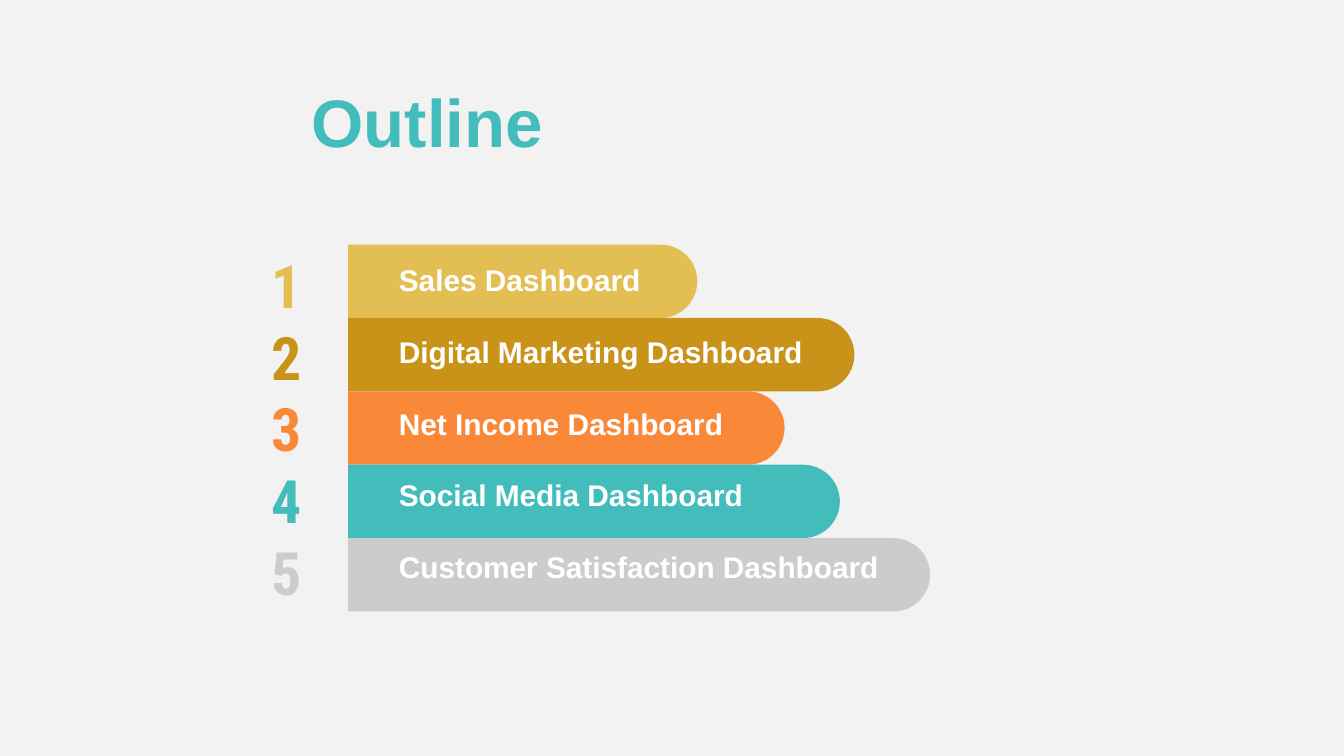
from pptx import Presentation
from pptx.dml.color import RGBColor
from pptx.enum.shapes import MSO_SHAPE
from pptx.enum.text import MSO_ANCHOR, PP_ALIGN
from pptx.util import Inches, Pt

ROUNDED_END = MSO_SHAPE.ROUND_2_SAME_RECTANGLE
CENTER, LEFT = PP_ALIGN.CENTER, PP_ALIGN.LEFT
TOP, MIDDLE = MSO_ANCHOR.TOP, MSO_ANCHOR.MIDDLE

BACKGROUND = RGBColor(0xF2, 0xF2, 0xF2)
WHITE = RGBColor(0xFF, 0xFF, 0xFF)
YELLOW = RGBColor(0xE2, 0xBE, 0x53)
GOLD = RGBColor(0xC9, 0x93, 0x19)
ORANGE = RGBColor(0xFA, 0x88, 0x39)
TEAL = RGBColor(0x42, 0xBD, 0xBB)
GRAY = RGBColor(0xCC, 0xCC, 0xCC)

WIDTH = 10
HEIGHT = WIDTH * 9 / 16
TITLE_BOX = (0, 0.55, 6.36, 0.71)
BARS_BOX = (2.59, 1.82, 4.33, 2.73)
LABELS_BOX = (2.87, 1.9, 5.54, 2.52)
NUMBERS_BOX = (1.71, 1.69, 0.84, 2.99)

SECTIONS = [
    ("Sales Dashboard", YELLOW, 0.6),
    ("Digital Marketing Dashboard", GOLD, 0.87),
    ("Net Income Dashboard", ORANGE, 0.75),
    ("Social Media Dashboard", TEAL, 0.845),
    ("Customer Satisfaction Dashboard", GRAY, 1),
]


def add_text(slide, box, lines, font_name, size, alignment, anchor=TOP, inset=0.05, gap=0):
    shape = slide.shapes.add_textbox(*map(Inches, box))
    frame = shape.text_frame
    frame.word_wrap = True
    frame.vertical_anchor = anchor
    frame.margin_top = frame.margin_bottom = Inches(inset)
    for index, (text, color) in enumerate(lines):
        paragraph = frame.add_paragraph() if index else frame.paragraphs[0]
        paragraph.text = text
        paragraph.alignment = alignment
        paragraph.space_after = Pt(gap)
        paragraph.font.name = font_name
        paragraph.font.size = Pt(size)
        paragraph.font.bold = True
        paragraph.font.color.rgb = color


def add_title(slide, box):
    add_text(slide, box, [("Outline", TEAL)], "Arial", 36, CENTER)


def add_bars(slide, box):
    left, top, width, height = box
    row = height / len(SECTIONS)
    for index, (_, color, share) in enumerate(SECTIONS):
        length = width * share
        center_x = left + length / 2
        center_y = top + row * (index + 0.5)
        bar = slide.shapes.add_shape(
            ROUNDED_END,
            Inches(center_x - row / 2), Inches(center_y - length / 2),
            Inches(row), Inches(length),
        )
        bar.rotation = 90
        bar.adjustments[0] = 0.5
        bar.adjustments[1] = 0
        bar.shadow.inherit = False
        bar.fill.solid()
        bar.fill.fore_color.rgb = color
        bar.line.fill.background()


def add_labels(slide, box):
    lines = [(label, WHITE) for label, _, _ in SECTIONS]
    add_text(slide, box, lines, "Arial", 16, LEFT, gap=19.2)


def add_numbers(slide, box):
    lines = [(str(number), color) for number, (_, color, _) in enumerate(SECTIONS, 1)]
    add_text(slide, box, lines, "Roboto Condensed", 32, CENTER, MIDDLE, 0.1)


def main():
    presentation = Presentation()
    presentation.slide_width = Inches(WIDTH)
    presentation.slide_height = Inches(HEIGHT)
    slide = presentation.slides.add_slide(presentation.slide_layouts[6])
    slide.background.fill.solid()
    slide.background.fill.fore_color.rgb = BACKGROUND
    add_bars(slide, BARS_BOX)
    add_title(slide, TITLE_BOX)
    add_labels(slide, LABELS_BOX)
    add_numbers(slide, NUMBERS_BOX)
    presentation.save("out.pptx")


if __name__ == "__main__":
    main()
